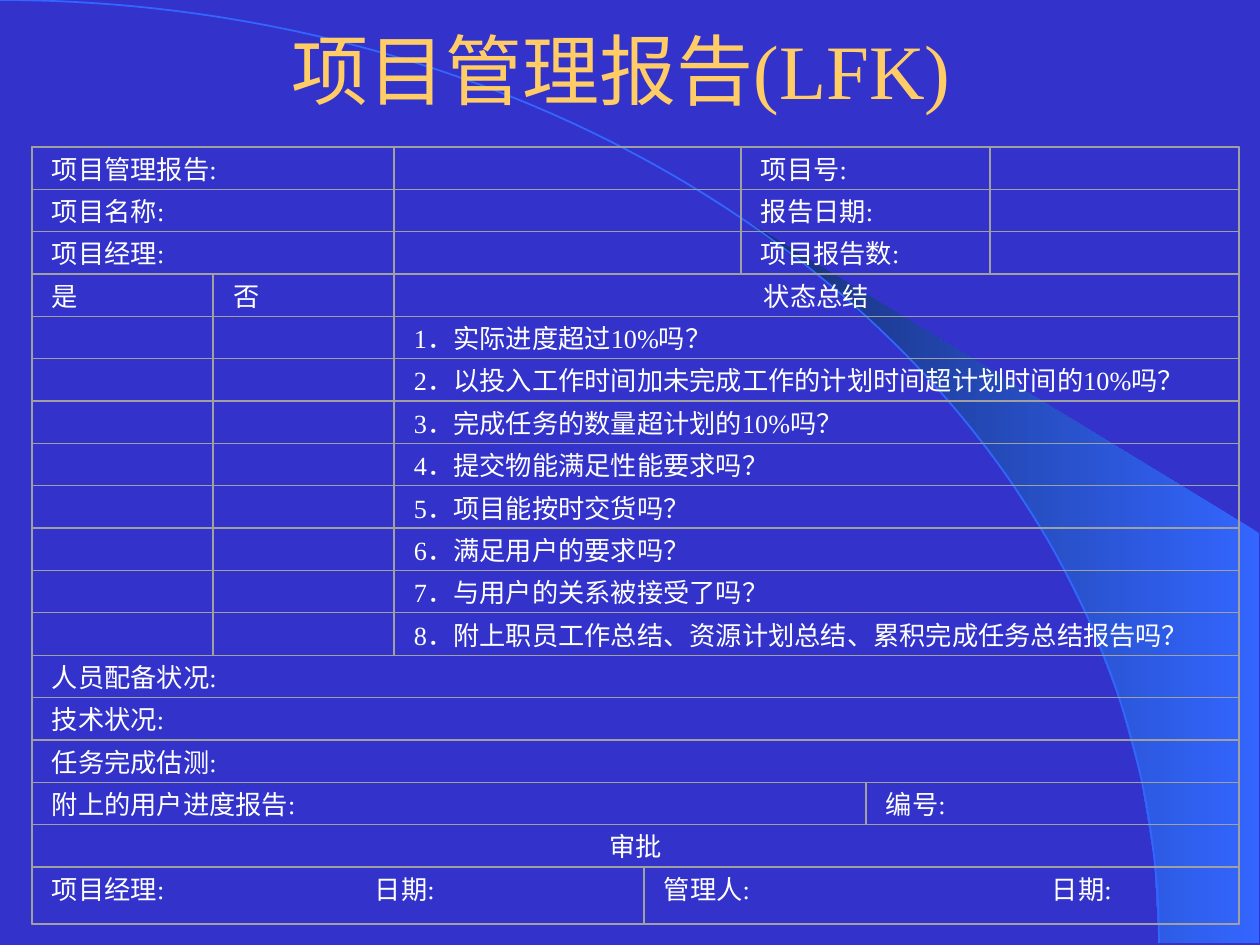
import math

from lxml import etree
from pptx import Presentation
from pptx.dml.color import RGBColor
from pptx.enum.shapes import MSO_SHAPE
from pptx.enum.text import MSO_ANCHOR, MSO_AUTO_SIZE, PP_ALIGN
from pptx.oxml.ns import qn
from pptx.util import Emu, Pt

ARC, RECTANGLE = MSO_SHAPE.ARC, MSO_SHAPE.RECTANGLE
CENTER, JUSTIFY, LEFT = PP_ALIGN.CENTER, PP_ALIGN.JUSTIFY, PP_ALIGN.LEFT
MIDDLE, TOP = MSO_ANCHOR.MIDDLE, MSO_ANCHOR.TOP
NO_AUTOFIT = MSO_AUTO_SIZE.NONE

BACKGROUND = RGBColor(0x33, 0x33, 0xCC)
BRIGHT_BLUE = RGBColor(0x33, 0x66, 0xFF)
DARK_BLUE = RGBColor(0x17, 0x2F, 0x75)
GOLD = RGBColor(0xFF, 0xCC, 0x66)
WHITE = RGBColor(0xFF, 0xFF, 0xFF)
GRID_GRAY = RGBColor(0xA0, 0xA0, 0xA0)
FONT = "Times New Roman"


def px(length):
    return Emu(round(length * 914400 / 126))


def add_outline(preset, left, top, width, height, color, line_width):
    shape = slide.shapes.add_shape(preset, px(left), px(top), px(width), px(height))
    shape.shadow.inherit = False
    shape.fill.background()
    shape.line.color.rgb = color
    shape.line.width = line_width
    return shape


presentation = Presentation()
presentation.slide_width = px(1260)
presentation.slide_height = px(945)
slide = presentation.slides.add_slide(presentation.slide_layouts[5])
slide.background.fill.solid()
slide.background.fill.fore_color.rgb = BACKGROUND

ARC_WIDTH, ARC_HEIGHT = 1159, 943
wedge_points = []
for degree in range(40, 91, 5):
    angle = math.radians(degree)
    wedge_points.append((px(ARC_WIDTH * math.sin(angle)),
                         px(ARC_HEIGHT * (1 - math.cos(angle)))))
wedge_points += [(px(1259), px(943)), (px(1259), px(533))]
wedge_builder = slide.shapes.build_freeform(*wedge_points[0])
wedge_builder.add_line_segments(wedge_points[1:], close=True)
wedge = wedge_builder.convert_to_shape()
wedge.shadow.inherit = False
wedge.line.fill.background()
wedge.fill.gradient()
wedge.fill.gradient_angle = 180
for stop, color in zip(wedge.fill.gradient_stops, (BRIGHT_BLUE, DARK_BLUE)):
    stop.color.rgb = color

add_outline(ARC, -ARC_WIDTH, 0, 2 * ARC_WIDTH, 2 * ARC_HEIGHT, BRIGHT_BLUE, Pt(1))

title = slide.shapes.title
title.element.getparent().append(title.element)
title.left, title.top, title.width, title.height = px(95), px(-10), px(1071), px(158)
title.text_frame.auto_size = NO_AUTOFIT
title.text_frame.word_wrap = True
title.text_frame.vertical_anchor = MIDDLE
paragraph = title.text_frame.paragraphs[0]
paragraph.alignment = CENTER
run = paragraph.add_run()
run.text = "项目管理报告(LFK) "
run.font.name = FONT
run.font.size = Pt(44)
run.font.color.rgb = GOLD

questions = [
    "实际进度超过10%吗？",
    "以投入工作时间加未完成工作的计划时间超计划时间的10%吗？",
    "完成任务的数量超计划的10%吗？",
    "提交物能满足性能要求吗？",
    "项目能按时交货吗？",
    "满足用户的要求吗？",
    "与用户的关系被接受了吗？",
    "附上职员工作总结、资源计划总结、累积完成任务总结报告吗？",
]
FORM_LEFT, FORM_TOP, FORM_RIGHT, FORM_BOTTOM = 32, 147, 1239, 924
LAST_ROW_TOP = 867
HEADER = (FORM_LEFT, 394, 741, 990, FORM_RIGHT)
CHECKLIST = (FORM_LEFT, 213, 394, FORM_RIGHT)
FULL = (FORM_LEFT, FORM_RIGHT)
form_rows = [
    (HEADER, ["项目管理报告:", "", "项目号:", ""]),
    (HEADER, ["项目名称:", "", "报告日期:", ""]),
    (HEADER, ["项目经理:", "", "项目报告数:", ""]),
    (CHECKLIST, ["是", "否", "状态总结"]),
]
for number, question in enumerate(questions, 1):
    form_rows.append((CHECKLIST, ["", "", f"{number}．{question}"]))
form_rows += [
    (FULL, ["人员配备状况:"]),
    (FULL, ["技术状况:"]),
    (FULL, ["任务完成估测:"]),
    ((FORM_LEFT, 866, FORM_RIGHT), ["附上的用户进度报告:", "编号:"]),
    (FULL, ["审批"]),
    ((FORM_LEFT, 644, FORM_RIGHT), ["项目经理:\t日期:", "管理人:\t日期:"]),
]
centered = {"状态总结", "审批"}
date_tabs = {"项目经理:\t日期:": 323, "管理人:\t日期:": 388}

row_height = (LAST_ROW_TOP - FORM_TOP) / (len(form_rows) - 1)
row_tops = [FORM_TOP + index * row_height for index in range(len(form_rows))]
row_bottoms = row_tops[1:] + [FORM_BOTTOM]
for (edges, texts), top, bottom in zip(form_rows, row_tops, row_bottoms):
    for left, right, text in zip(edges, edges[1:], texts):
        field = add_outline(RECTANGLE, left, top, right - left, bottom - top,
                            GRID_GRAY, Pt(0))
        if not text:
            continue
        frame = field.text_frame
        frame.word_wrap = True
        frame.vertical_anchor = TOP
        frame.margin_left = frame.margin_right = px(20)
        frame.margin_top = frame.margin_bottom = px(6)
        paragraph = frame.paragraphs[0]
        paragraph.alignment = CENTER if text in centered else JUSTIFY
        if text in date_tabs:
            paragraph.alignment = LEFT
            tab_list = etree.SubElement(paragraph._p.get_or_add_pPr(), qn("a:tabLst"))
            etree.SubElement(tab_list, qn("a:tab"), pos=str(px(date_tabs[text])), algn="l")
        run = paragraph.add_run()
        run.text = text
        run.font.name = FONT
        run.font.size = Pt(15)
        run.font.color.rgb = WHITE

add_outline(RECTANGLE, FORM_LEFT, FORM_TOP, FORM_RIGHT - FORM_LEFT,
            FORM_BOTTOM - FORM_TOP, GRID_GRAY, Pt(0.75))

presentation.save("out.pptx")
